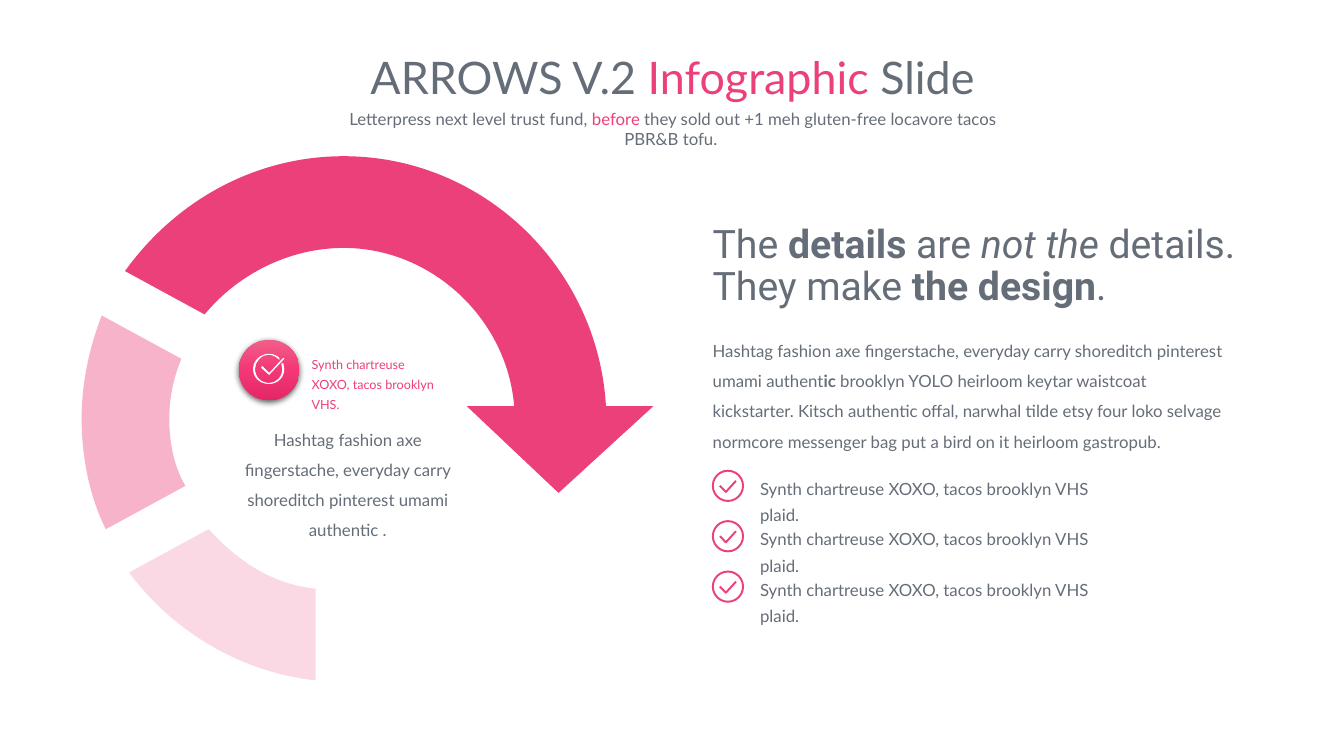
from dataclasses import dataclass

from pptx import Presentation
from pptx.dml.color import RGBColor
from pptx.enum.shapes import MSO_SHAPE
from pptx.enum.text import MSO_ANCHOR, MSO_AUTO_SIZE, PP_ALIGN
from pptx.oxml import parse_xml
from pptx.util import Inches, Pt

DRAWING_NS = "http://schemas.openxmlformats.org/drawingml/2006/main"


@dataclass(frozen=True)
class Theme:
    grey: str = "656D78"
    pink: str = "EC407A"
    pink_mid: str = "F7B3CA"
    pink_pale: str = "FBD9E4"
    white: str = "FFFFFF"
    badge: tuple = ((0, "F05F8A"), (50, "F53777"), (100, "E32767"))
    body_font: str = "Lato"
    quote_font: str = "Roboto"
    title_size: float = 32
    quote_size: float = 28
    body_size: float = 12
    label_size: float = 9
    tick_line: float = 1.38


THEME = Theme()

# Each contour is a start point, then lines (x, y) or cubic curves (three points).
TAIL_BAND = [
    (2.07, 5.25), (1.28, 5.68), (1.72, 6.27, 2.39, 6.67, 3.13, 6.75),
    (3.13, 5.84), (2.7, 5.8, 2.35, 5.56, 2.07, 5.25),
]
MIDDLE_BAND = [
    (1.01, 3.13), (0.89, 3.44, 0.81, 3.79, 0.81, 4.15),
    (0.81, 4.54, 0.89, 4.93, 1.05, 5.25), (1.84, 4.82),
    (1.72, 4.62, 1.68, 4.38, 1.68, 4.15), (1.68, 3.95, 1.72, 3.75, 1.8, 3.56),
]
ARROW_BAND = [
    (6.01, 4.03), (5.93, 2.65, 4.79, 1.55, 3.41, 1.55),
    (2.5, 1.55, 1.72, 2.02, 1.24, 2.69), (2.03, 3.12),
    (2.35, 2.73, 2.86, 2.46, 3.41, 2.46), (4.28, 2.46, 5.03, 3.16, 5.1, 4.03),
    (4.63, 4.03), (5.54, 4.89), (6.48, 4.03),
]
BADGE_RING = [
    (2.81, 3.6), (2.79, 3.61), (2.8, 3.63, 2.8, 3.64, 2.8, 3.66),
    (2.8, 3.74, 2.74, 3.8, 2.67, 3.8), (2.59, 3.8, 2.53, 3.74, 2.53, 3.66),
    (2.53, 3.59, 2.59, 3.52, 2.67, 3.52), (2.7, 3.52, 2.74, 3.54, 2.77, 3.57),
    (2.77, 3.55), (2.75, 3.53, 2.71, 3.51, 2.67, 3.51),
    (2.58, 3.51, 2.51, 3.58, 2.51, 3.66), (2.51, 3.75, 2.58, 3.81, 2.67, 3.81),
    (2.75, 3.81, 2.82, 3.75, 2.82, 3.66), (2.82, 3.64, 2.81, 3.62, 2.81, 3.6),
]
BADGE_TICK = [(2.67, 3.7), (2.6, 3.63), (2.59, 3.65), (2.67, 3.72), (2.82, 3.56), (2.81, 3.55)]


def colour(value):
    return RGBColor.from_string(value)


def pairs(segment):
    lengths = [Inches(value) for value in segment]
    return list(zip(lengths[::2], lengths[1::2]))


def add_outline(page, contours, close=True):
    """Build a freeform, then merge the three points of each curve into a cubic."""
    builder = page.shapes.build_freeform(*pairs(contours[0][0])[0])
    for index, contour in enumerate(contours):
        if index:
            builder.move_to(*pairs(contour[0])[0])
        points = [point for segment in contour[1:] for point in pairs(segment)]
        builder.add_line_segments(points, close=close)
    shape = builder.convert_to_shape()
    shape.shadow.inherit = False

    lines = iter(list(shape.element.iter(f"{{{DRAWING_NS}}}lnTo")))
    for contour in contours:
        for segment in contour[1:]:
            parts = [next(lines) for _ in pairs(segment)]
            if len(parts) == 1:
                continue
            curve = parse_xml(f'<a:cubicBezTo xmlns:a="{DRAWING_NS}"/>')
            parts[0].addprevious(curve)
            for part in parts:
                curve.append(part[0])
                part.getparent().remove(part)
    return shape


def add_filled_outline(page, contours, fill):
    shape = add_outline(page, contours)
    shape.fill.solid()
    shape.fill.fore_color.rgb = colour(fill)
    shape.line.fill.background()


def set_stroke(shape):
    shape.fill.background()
    shape.line.color.rgb = colour(THEME.pink)
    shape.line.width = Pt(THEME.tick_line)


def add_circle(page, left, top, size):
    circle = page.shapes.add_shape(
        MSO_SHAPE.OVAL, Inches(left), Inches(top), Inches(size), Inches(size))
    circle.shadow.inherit = False
    return circle


def write_spans(frame, spans, size, font=THEME.body_font, align=PP_ALIGN.LEFT, spacing=None):
    """Fill the frame with one paragraph of (text, changes) spans."""
    frame.word_wrap = True
    frame.vertical_anchor = MSO_ANCHOR.TOP
    para = frame.paragraphs[0]
    para.alignment = align
    para.line_spacing = spacing
    for text, changes in spans:
        span = para.add_run()
        span.text = text
        span.font.name = font
        span.font.size = Pt(size)
        span.font.bold = changes.get("bold", False)
        span.font.italic = changes.get("italic", False)
        span.font.color.rgb = colour(changes.get("colour", THEME.grey))


def add_text(page, area, spans, size=THEME.body_size, inset=True, **style):
    box = page.shapes.add_textbox(*map(Inches, area))
    frame = box.text_frame
    if inset:
        frame.auto_size = MSO_AUTO_SIZE.SHAPE_TO_FIT_TEXT
    else:
        frame.margin_left = frame.margin_right = 0
        frame.margin_top = frame.margin_bottom = 0
    write_spans(frame, spans, size, **style)


def add_title(page):
    title = page.shapes.title
    title.left, title.top, title.width, title.height = map(Inches, (2.54, 0.44, 8.26, 0.64))
    title.text_frame.auto_size = MSO_AUTO_SIZE.NONE
    write_spans(title.text_frame, [
        ("ARROWS V.2 ", {}), ("Infographic ", {"colour": THEME.pink}), ("Slide", {}),
    ], THEME.title_size, align=PP_ALIGN.CENTER)


def add_badge(page):
    """Draw the shaded disc with its white open ring and tick."""
    disc = add_circle(page, 2.37, 3.37, 0.6)
    disc.line.fill.background()
    disc.fill.gradient()
    disc.fill.gradient_angle = 270
    stops = disc.element.spPr.find(f".//{{{DRAWING_NS}}}gsLst")
    stops.clear()
    for position, value in THEME.badge:
        stops.append(parse_xml(
            f'<a:gs xmlns:a="{DRAWING_NS}" pos="{position * 1000}">'
            f'<a:srgbClr val="{value}"/></a:gs>'))
    effects = disc.element.spPr.find(f"{{{DRAWING_NS}}}effectLst")
    effects.append(parse_xml(
        f'<a:outerShdw xmlns:a="{DRAWING_NS}" blurRad="{Pt(4.5)}" dist="{Pt(1.5)}" '
        'dir="5400000" algn="ctr" rotWithShape="0">'
        '<a:srgbClr val="000000"><a:alpha val="63000"/></a:srgbClr></a:outerShdw>'))
    add_filled_outline(page, [BADGE_RING, BADGE_TICK], THEME.white)


def add_check_item(page, top, text):
    set_stroke(add_circle(page, 7.07, top, 0.3))
    tick = [(7.14, top + 0.15), (7.2, top + 0.21), (7.3, top + 0.1)]
    set_stroke(add_outline(page, [tick], close=False))
    add_text(page, (7.44, top - 0.03, 3.55, 0.34), [(text, {})], spacing=1.3)


def main():
    deck = Presentation()
    deck.slide_width, deck.slide_height = Inches(13.33), Inches(7.5)
    page = deck.slides.add_slide(deck.slide_layouts[5])

    add_title(page)
    add_text(page, (3.2, 1.03, 6.95, 0.3), [
        ("Letterpress next level trust fund, ", {}),
        ("before", {"colour": THEME.pink}),
        (" they sold out +1 meh gluten-free locavore tacos PBR&B tofu. ", {}),
    ], align=PP_ALIGN.CENTER)

    add_filled_outline(page, [TAIL_BAND], THEME.pink_pale)
    add_filled_outline(page, [MIDDLE_BAND], THEME.pink_mid)
    add_filled_outline(page, [ARROW_BAND], THEME.pink)

    add_text(page, (3.09, 3.5, 1.28, 0.47), [
        ("Synth chartreuse XOXO, tacos brooklyn VHS.", {"colour": THEME.pink}),
    ], THEME.label_size, inset=False, spacing=1.3)
    add_badge(page)
    add_text(page, (2.31, 4.11, 2.28, 1.28), [
        ("Hashtag fashion axe fingerstache, everyday carry "
         "shoreditch pinterest umami authentic .", {}),
    ], align=PP_ALIGN.CENTER, spacing=1.5)

    add_text(page, (6.97, 2.18, 5.46, 0.95), [
        ("The ", {}), ("details", {"bold": True}), (" are ", {}),
        ("not the ", {"italic": True}), ("details. They make ", {}),
        ("the design", {"bold": True}), (".", {}),
    ], THEME.quote_size, font=THEME.quote_font, spacing=0.9)
    add_text(page, (6.97, 3.23, 5.32, 1.31), [
        ("Hashtag fashion axe fingerstache, everyday carry shoreditch "
         "pinterest umami authent", {}),
        ("ic ", {"bold": True}),
        ("brooklyn YOLO heirloom keytar waistcoat kickstarter. Kitsch authentic offal, "
         "narwhal tilde etsy four loko selvage normcore messenger bag put a bird on it "
         "heirloom gastropub.", {}),
    ], spacing=1.5)
    for row in range(3):
        add_check_item(page, 4.67 + 0.5 * row, "Synth chartreuse XOXO, tacos brooklyn VHS plaid.")

    deck.save("out.pptx")


if __name__ == "__main__":
    main()
